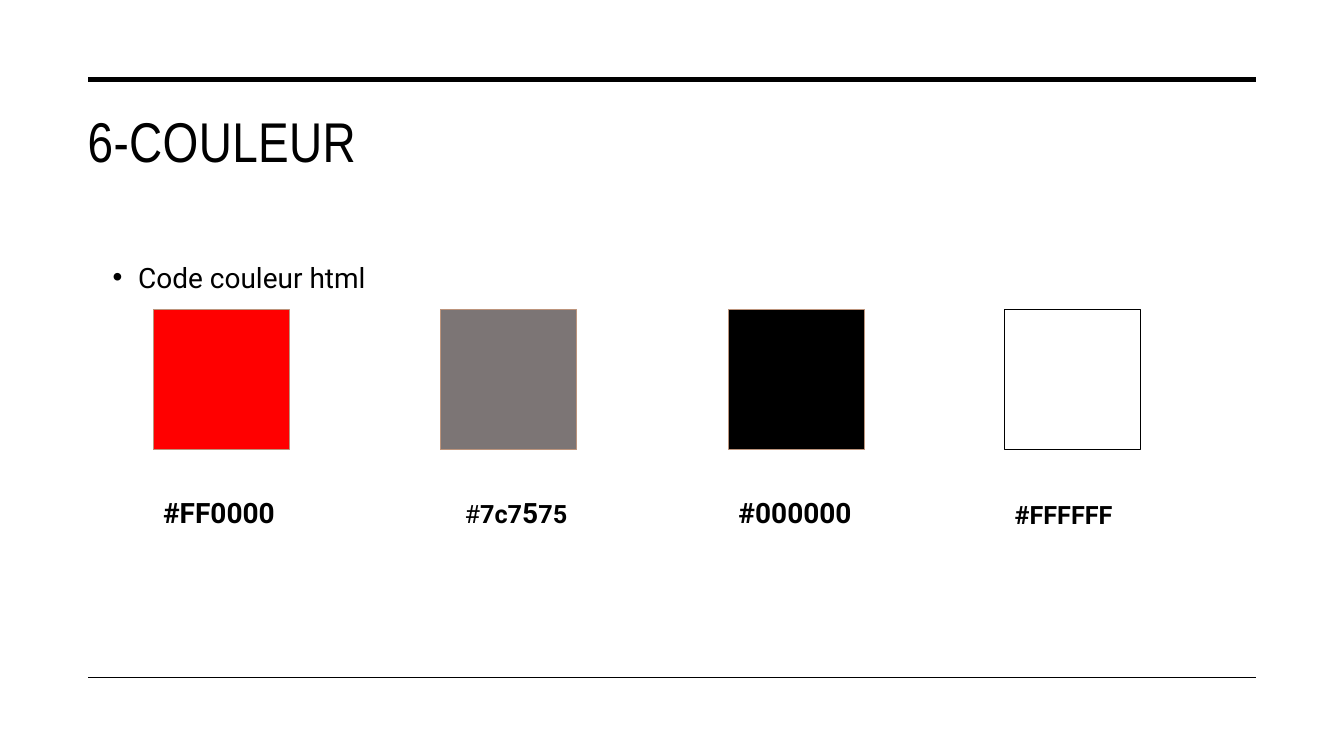
from lxml import etree
from pptx import Presentation
from pptx.dml.color import RGBColor
from pptx.enum.shapes import MSO_CONNECTOR as Link, MSO_SHAPE as Form
from pptx.enum.text import MSO_AUTO_SIZE as Fit
from pptx.oxml.ns import qn
from pptx.util import Cm, Pt

BLACK = RGBColor(0, 0, 0)
WHITE = RGBColor(255, 255, 255)
RED = RGBColor(255, 0, 0)
GREY = RGBColor(0x7C, 0x75, 0x75)
TAN = RGBColor(0xBC, 0x94, 0x7C)

# Content
TITLE = "6-COULEUR"
POINT = "Code couleur html "
# Swatch: left, fill, edge, edge width
SWATCHES = [
    (3.86, RED, TAN, 0.5),
    (11.1, GREY, TAN, 0.5),
    (18.36, BLACK, TAN, 0.5),
    (25.32, WHITE, BLACK, 1),
]
# Label: box, runs of (text, size, bold)
LABELS = [
    ((3.86, 12.37, 3.43, 1.12), [("#FF0000", 20, True)]),
    ((11.46, 12.37, 3.43, 1.12),
     [("#", 18, False), ("7c7", 18, True), ("5", 20, True), ("75", 18, True)]),
    ((18.36, 12.37, 3.43, 1.12), [("#000000", 20, True)]),
    ((25.32, 12.45, 3.73, 1.02), [("#FFFFFF", 18, True)]),
]
RULES = [(2.0, 3.5), (17.07, 1)]  # height on the slide, line width
LEFT, RIGHT = 2.23, 31.65
TOP, WIDE, HIGH = 7.8, 3.43, 3.53

deck = Presentation()
deck.slide_width, deck.slide_height = Cm(33.87), Cm(19.05)
slide = deck.slides.add_slide(deck.slide_layouts[6])
shapes = slide.shapes


def add_text(box, runs, face, fit=Fit.NONE):
    frame = shapes.add_textbox(*map(Cm, box)).text_frame
    frame.word_wrap = True
    frame.auto_size = fit
    para = frame.paragraphs[0]
    para.font.name = face
    para.font.color.rgb = BLACK
    for text, size, bold in runs:
        run = para.add_run()
        run.text = text
        run.font.size = Pt(size)
        run.font.bold = bold
        run.font.name = face
        run.font.color.rgb = BLACK
    return para


# Rules above and below
for y, width in RULES:
    rule = shapes.add_connector(Link.STRAIGHT, Cm(LEFT), Cm(y), Cm(RIGHT), Cm(y))
    rule.line.color.rgb = BLACK
    rule.line.width = Pt(width)
    etree.SubElement(rule._element.spPr, qn("a:effectLst"))

# Title
head = add_text((1.96, 2.57, 29.69, 3.81), [(TITLE, 40, False)], "Arial Narrow")
head.runs[0].font._element.set("spc", "30")

# Bullet point
point = add_text((2.59, 6.27, 29.69, 10.11), [(POINT, 20, False)], "Roboto")
point.line_spacing = 1.2
point.space_before = Pt(10)
props = point._p.get_or_add_pPr()
props.set("marL", str(Cm(0.64)))
props.set("indent", str(Cm(-0.64)))
etree.SubElement(props, qn("a:buFont")).set("typeface", "Arial")
etree.SubElement(props, qn("a:buChar")).set("char", "•")
# The schema wants default run properties after the bullet
props.append(props.find(qn("a:defRPr")))

# Swatches
for x, fill, edge, width in SWATCHES:
    swatch = shapes.add_shape(Form.RECTANGLE, Cm(x), Cm(TOP), Cm(WIDE), Cm(HIGH))
    swatch.shadow.inherit = False
    swatch.fill.solid()
    swatch.fill.fore_color.rgb = fill
    swatch.line.color.rgb = edge
    swatch.line.width = Pt(width)

# Colour codes
for box, runs in LABELS:
    add_text(box, runs, "Roboto", Fit.SHAPE_TO_FIT_TEXT)

deck.save("out.pptx")
